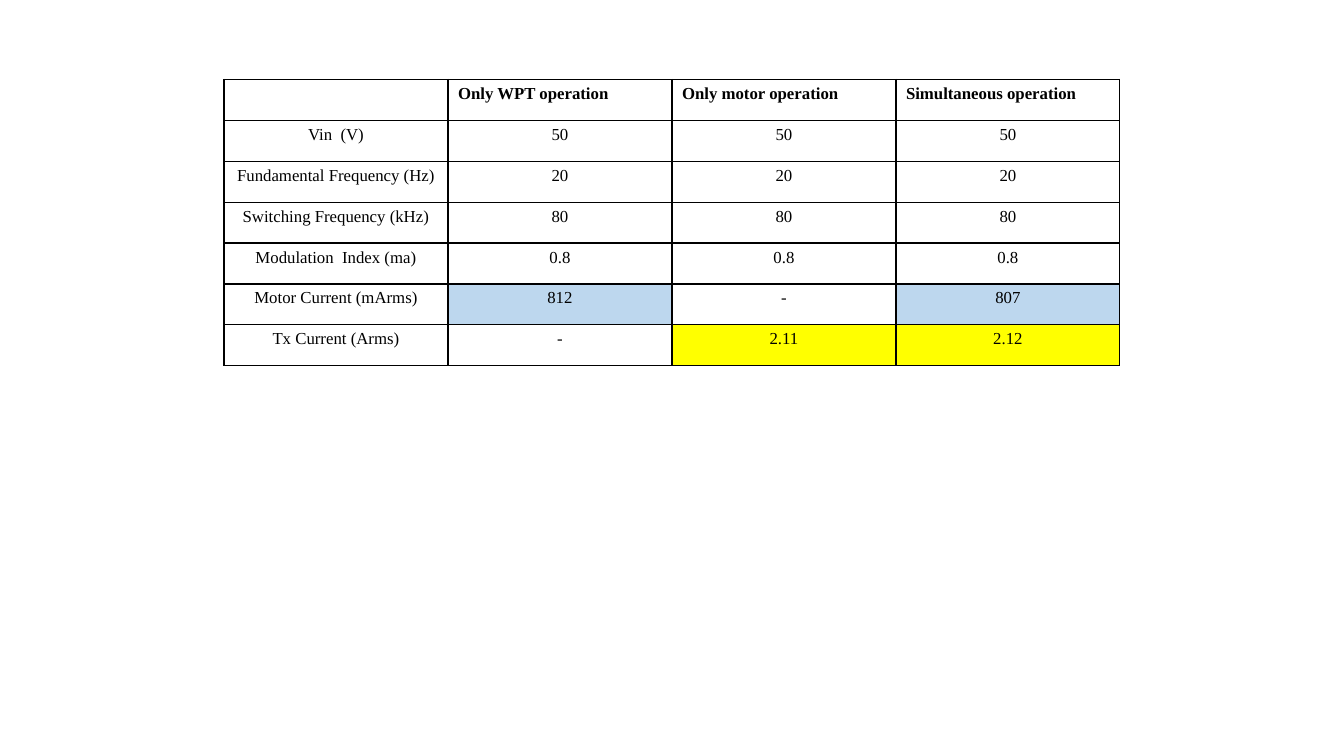
from lxml import etree
from pptx import Presentation
from pptx import util as u
from pptx.dml.color import RGBColor
from pptx.enum import text
from pptx.oxml.ns import qn

FONT = "Times New Roman"
BLACK, WHITE, BLUE, YELLOW = "000000", "FFFFFF", "BDD7EE", "FFFF00"
ROWS = [
    ("", "Only WPT operation", "Only motor operation", "Simultaneous operation"),
    ("Vin  (V)", "50", "50", "50"),
    ("Fundamental Frequency (Hz)", "20", "20", "20"),
    ("Switching Frequency (kHz)", "80", "80", "80"),
    ("Modulation  Index (ma)", "0.8", "0.8", "0.8"),
    ("Motor Current (mArms)", "812", "-", "807"),
    ("Tx Current (Arms)", "-", "2.11", "2.12"),
]
HIGHLIGHTS = {(5, 1): BLUE, (5, 3): BLUE, (6, 2): YELLOW, (6, 3): YELLOW}


def rgb(value):
    """Turn a hex string into a colour."""
    return RGBColor.from_string(value)


def add_borders(cell, color, width):
    """Draw a solid line on all four sides of a cell."""
    tcPr = cell._tc.get_or_add_tcPr()
    for i, side in enumerate(("lnL", "lnR", "lnT", "lnB")):
        ln = etree.Element(qn(f"a:{side}"), w=str(u.Pt(width)))
        fill = etree.SubElement(ln, qn("a:solidFill"))
        etree.SubElement(fill, qn("a:srgbClr"), val=color)
        tcPr.insert(i, ln)


def style_cell(cell, value, fill, header):
    """Fill one cell and set its text."""
    cell.fill.solid()
    cell.fill.fore_color.rgb = rgb(fill)
    add_borders(cell, BLACK, 1)
    p = cell.text_frame.paragraphs[0]
    p.text = value
    p.alignment = text.PP_ALIGN.LEFT if header else text.PP_ALIGN.CENTER
    p.font.name = FONT
    p.font.size = u.Pt(12)
    p.font.bold = header
    p.font.color.rgb = rgb(BLACK)


def add_operation_table(s, left, top, width, height):
    """Place the comparison of operating modes in the given box."""
    box = [u.Pt(v) for v in (left, top, width, height)]
    table = s.shapes.add_table(len(ROWS), len(ROWS[0]), *box).table
    table.first_row = table.horz_banding = False
    for row in table.rows:
        row.height = u.Pt(height / len(ROWS))
    for i, values in enumerate(ROWS):
        for j, value in enumerate(values):
            fill = HIGHLIGHTS.get((i, j), WHITE)
            style_cell(table.cell(i, j), value, fill, i == 0)


def main():
    """Build the slide and save it."""
    prs = Presentation()
    prs.slide_width, prs.slide_height = u.Pt(960), u.Pt(540)
    s = prs.slides.add_slide(prs.slide_layouts[6])
    add_operation_table(s, 160, 56.8, 640, 204.4)
    prs.save("out.pptx")


if __name__ == "__main__":
    main()
